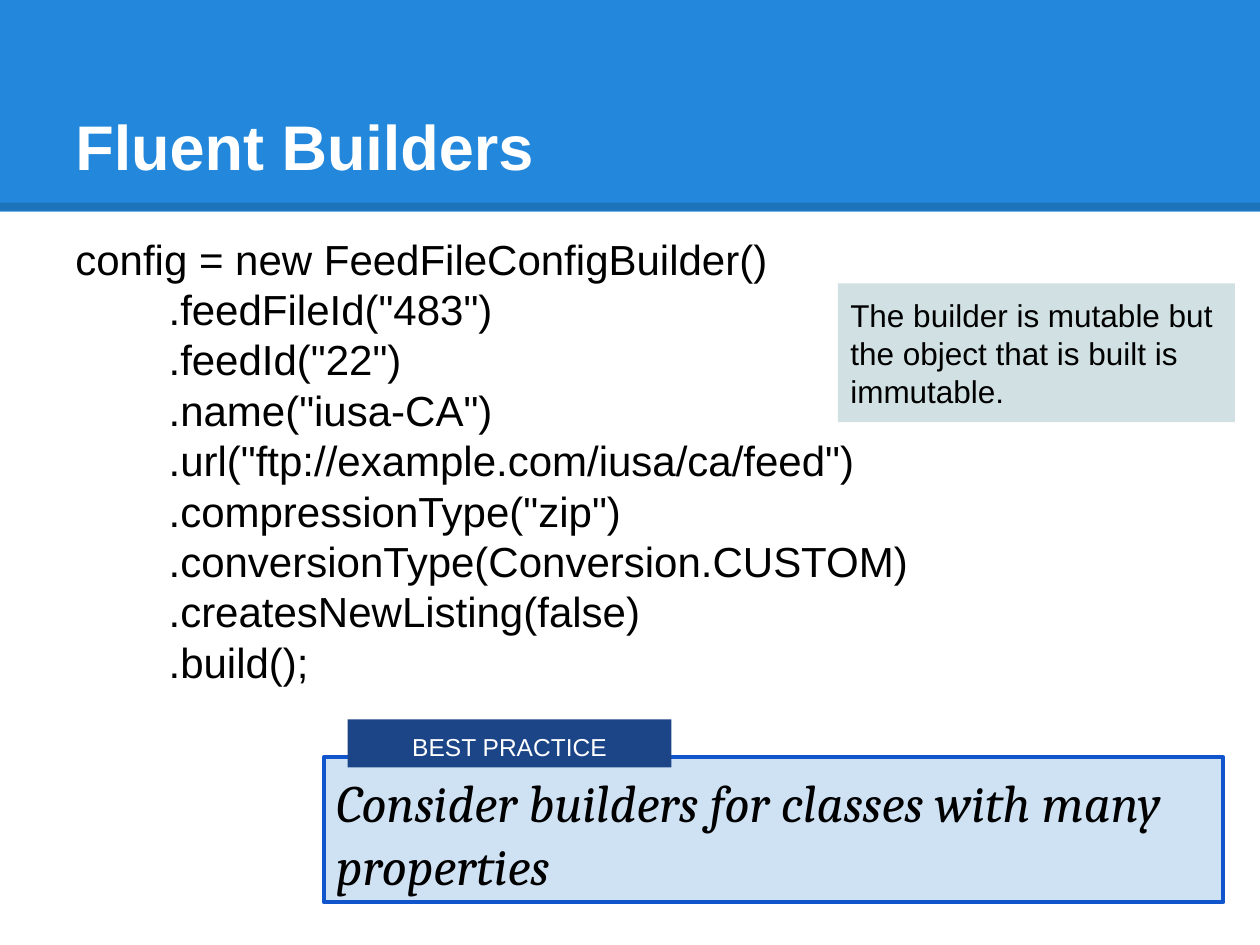
"""Build the Fluent Builders slide."""
import pptx
import pptx.util
import pptx.dml.color
import pptx.enum.shapes
import pptx.enum.text
import pptx.oxml
import pptx.oxml.ns

HEAD = "Fluent Builders"
CODE = [
    (0, "config = new FeedFileConfigBuilder()"),
    (1, '.feedFileId("483")'),
    (1, '.feedId("22")'),
    (1, '.name("iusa-CA")'),
    (1, '.url("ftp://example.com/iusa/ca/feed")'),
    (1, '.compressionType("zip")'),
    (1, ".conversionType(Conversion.CUSTOM)"),
    (1, ".createsNewListing(false)"),
    (1, ".build();"),
]
NOTE = "The builder is mutable but the object that is built is immutable."
TIP = "Consider builders for classes with many properties"
TAG = "BEST PRACTICE"

THEME = {
    "blue": "2388DB", "rule": "000000", "white": "FFFFFF", "ink": "000000",
    "note": "D0E0E3", "tip": "CFE2F3", "edge": "1155CC", "tag": "1C4587",
    "sans": "Arial", "serif": "Cambria",
    "head": 36, "code": 24, "small": 18, "big": 30, "label": 14,
    "thick": 4.5, "thin": 2.25, "alpha": 15,
}
WIDE, HIGH = 10, 7.5
SIDE, PAD = 0.05 * WIDE, 0.1
BAND, RULE = 1.68, 1.64
STEP = 0.74

Inch, Point = pptx.util.Inches, pptx.util.Pt
Shape = pptx.enum.shapes.MSO_SHAPE
Align = pptx.enum.text.PP_ALIGN
Anchor = pptx.enum.text.MSO_ANCHOR


def tint(name):
    return pptx.dml.color.RGBColor.from_string(THEME[name])


def node(tag, **keys):
    item = pptx.oxml.parse_xml(f"<{tag} {pptx.oxml.ns.nsdecls('a')}/>")
    for key, value in keys.items():
        item.set(key, str(value))
    return item


def panel(slide, area, fill, edge=None):
    box = slide.shapes.add_shape(Shape.RECTANGLE, *map(Inch, area))
    box.shadow.inherit = False
    box.fill.solid()
    box.fill.fore_color.rgb = tint(fill)
    if edge:
        box.line.color.rgb = tint(edge)
        box.line.width = Point(THEME["thin"])
    else:
        box.line.fill.background()
    return box


def write(box, lines, size, font="sans", color="ink", bold=False,
          slant=False, align=Align.LEFT, anchor=Anchor.TOP):
    frame = box.text_frame
    frame.word_wrap = True
    frame.vertical_anchor = anchor
    frame.margin_left = frame.margin_right = Inch(PAD)
    frame.margin_top = frame.margin_bottom = Inch(PAD)
    for row, (level, text) in enumerate(lines):
        para = frame.add_paragraph() if row else frame.paragraphs[0]
        para.alignment = align
        if level:
            props = para._p.get_or_add_pPr()
            props.set("marL", str(Inch(level * STEP)))
            props.set("indent", "0")
        run = para.add_run()
        run.text = text
        run.font.name = THEME[font]
        run.font.size = Point(THEME[size])
        run.font.color.rgb = tint(color)
        run.font.bold, run.font.italic = bold, slant


def band(slide):
    panel(slide, (0, 0, WIDE, BAND), "blue")
    rule = slide.shapes.add_connector(
        pptx.enum.shapes.MSO_CONNECTOR.STRAIGHT,
        *map(Inch, (0, RULE, WIDE, RULE)))
    rule.line.width = Point(THEME["thick"])
    rule.line.color.rgb = tint("rule")
    props = rule._element.spPr
    color = props.find(".//" + pptx.oxml.ns.qn("a:srgbClr"))
    color.append(node("a:alpha", val=THEME["alpha"] * 1000))
    props.append(node("a:effectLst"))


def main():
    deck = pptx.Presentation()
    deck.slide_width, deck.slide_height = Inch(WIDE), Inch(HIGH)
    slide = deck.slides.add_slide(deck.slide_layouts[6])
    band(slide)
    span = WIDE - 2 * SIDE
    head = slide.shapes.add_textbox(*map(Inch, (SIDE, 0.3, span, 1.25)))
    write(head, [(0, HEAD)], "head", color="white", bold=True,
          anchor=Anchor.BOTTOM)
    code = slide.shapes.add_textbox(*map(Inch, (SIDE, 1.75, span, 4.34)))
    write(code, CODE, "code")
    note = panel(slide, (6.65, 2.25, 3.15, 1.1), "note")
    write(note, [(0, NOTE)], "small")
    tip = panel(slide, (2.57, 6.01, 7.14, 1.15), "tip", "edge")
    write(tip, [(0, TIP)], "big", "serif", slant=True)
    tag = panel(slide, (2.76, 5.71, 2.57, 0.38), "tag")
    write(tag, [(0, TAG)], "label", color="white", align=Align.CENTER)
    deck.save("out.pptx")


if __name__ == "__main__":
    main()
